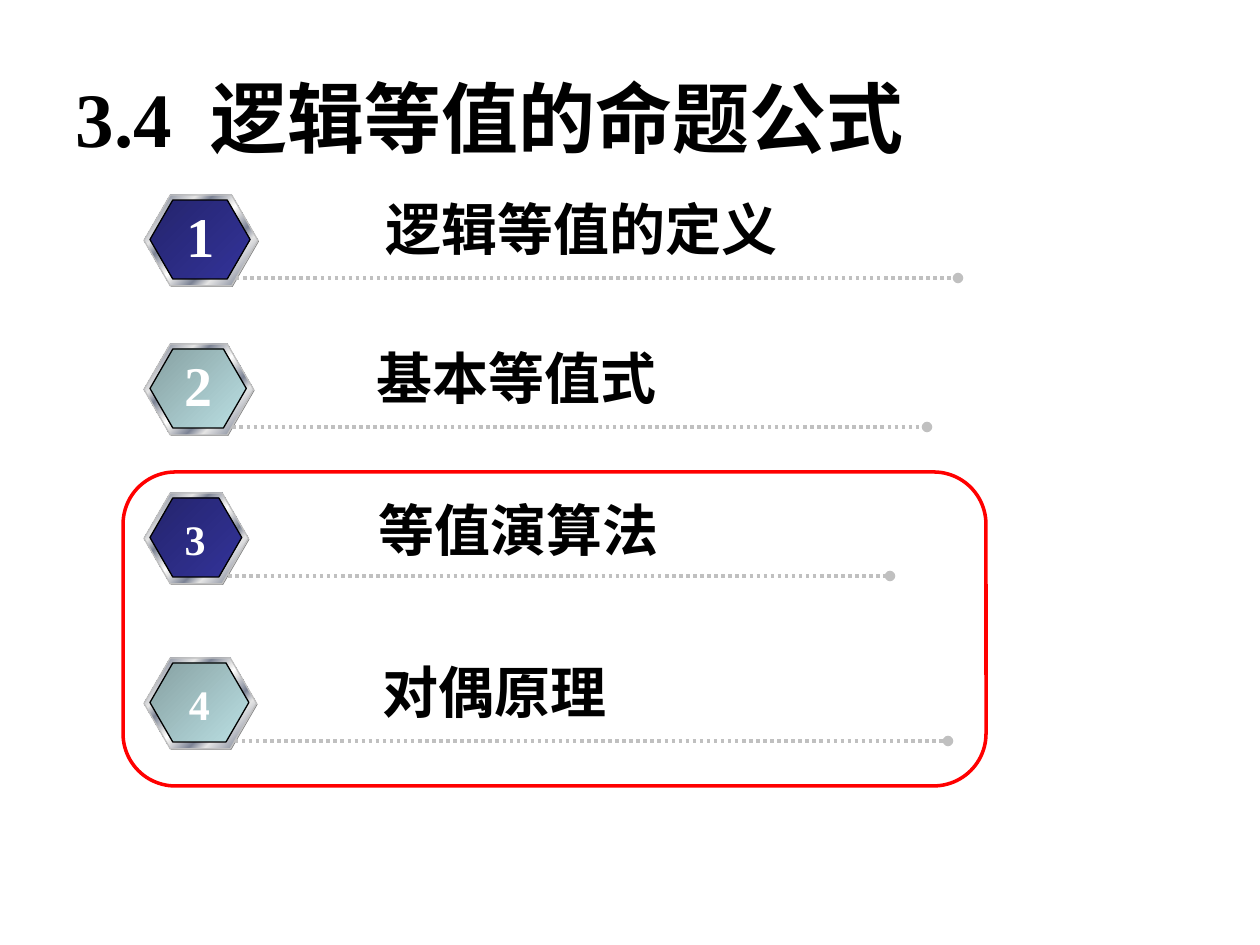
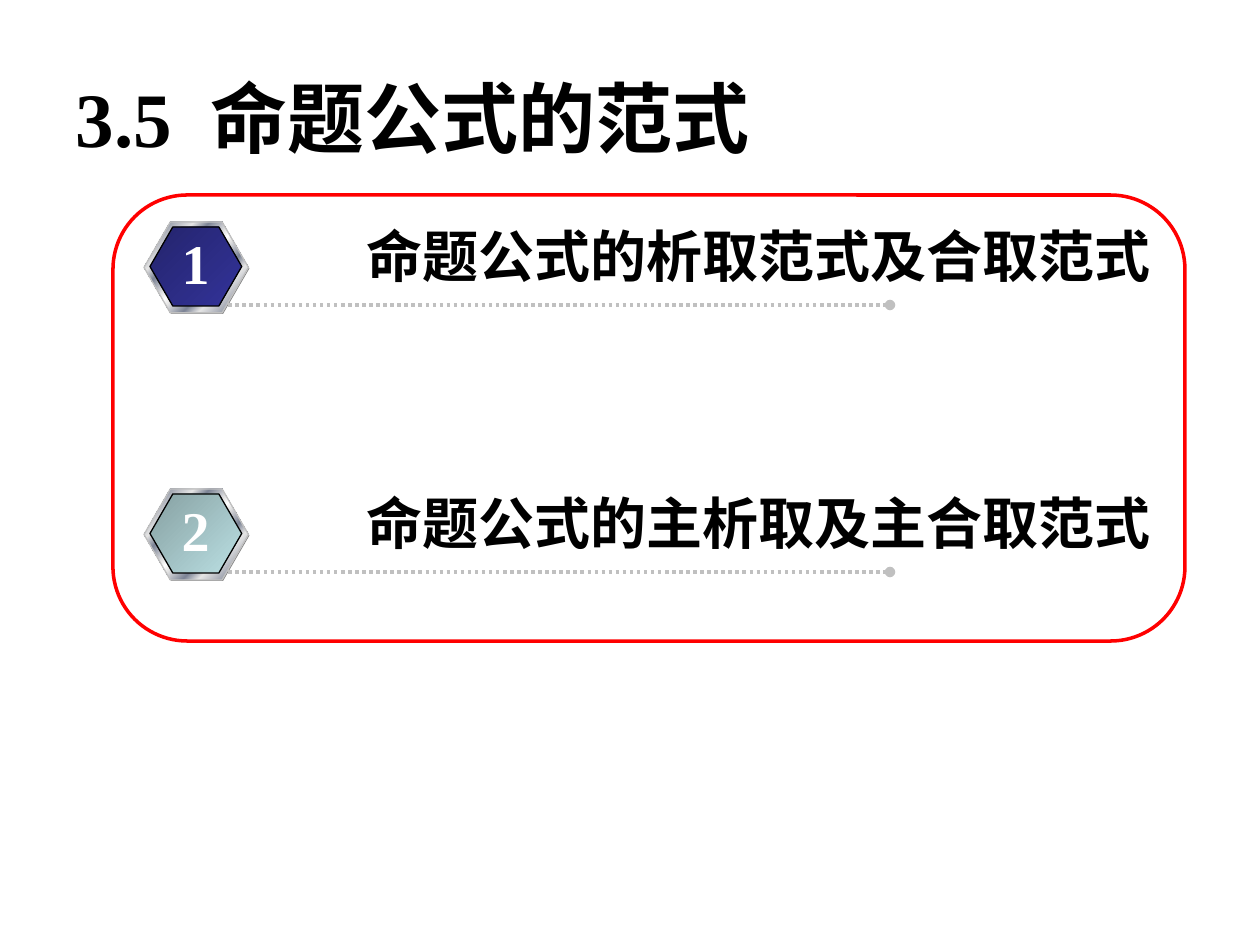
from lxml import etree
from pptx import Presentation
from pptx.dml.color import RGBColor
from pptx.enum.dml import MSO_LINE
from pptx.enum.shapes import MSO_CONNECTOR, MSO_SHAPE
from pptx.enum.text import MSO_ANCHOR, PP_ALIGN
from pptx.oxml.ns import qn
from pptx.util import Emu, Pt

HEXAGON, ROUND_RECT = MSO_SHAPE.HEXAGON, MSO_SHAPE.ROUNDED_RECTANGLE
STRAIGHT, DOTTED = MSO_CONNECTOR.STRAIGHT, MSO_LINE.ROUND_DOT
LEFT, CENTER = PP_ALIGN.LEFT, PP_ALIGN.CENTER
MIDDLE = MSO_ANCHOR.MIDDLE
TITLE_ONLY = 5
PX_PER_INCH = 126

COLORS = {
    "text": "000000", "number": "FFFFFF", "outline": "000000",
    "silver": "C0C0C0", "shadow": "808080", "highlight": "FF0000",
    "steel_light": "E6E6E6", "steel_dark": "7D8496", "steel_shine": "FFFFFF",
    "navy_dark": "24246D", "navy": "333399",
    "teal_dark": "86A0A2", "teal": "BBE0E3",
}
STEEL = [(0, "steel_light"), (8, "steel_dark"), (26, "steel_light"),
         (34, "steel_dark"), (46, "steel_light"), (50, "steel_shine"),
         (54, "steel_light"), (66, "steel_dark"), (74, "steel_light"),
         (92, "steel_dark"), (100, "steel_light")]
FACES = [[(0, "navy_dark"), (100, "navy")], [(0, "teal_dark"), (100, "teal")]]

TITLE_FORMAT = {"name": "Times New Roman", "size": Pt(44), "bold": True}
LABEL_FORMAT = {"name": "Arial", "size": Pt(32), "bold": True}
NUMBER_FORMAT = {"name": "Times New Roman", "bold": True}

# Each row is as wide as its dotted rule; its parts are shares of that width
ROW_LEFT = 144
BADGE_HEIGHT = 91
BADGE_SHARE, FACE_SHARE, RULE_SHARE, LABEL_SHARE = 0.14, 0.123, 0.113, 0.281


def px(length):
    return Emu(round(length * 914400 / PX_PER_INCH))


def color(name):
    return RGBColor.from_string(COLORS[name])


def add_run(paragraph, text, font_format, color_name):
    run = paragraph.add_run()
    run.text = text
    for name, value in font_format.items():
        setattr(run.font, name, value)
    run.font.color.rgb = color(color_name)
    return run


def fill_gradient(shape, stops):
    shape.fill.gradient()
    shape.fill.gradient_angle = 315
    stop_list = shape._element.spPr.find(".//" + qn("a:gsLst"))
    for stop in list(stop_list):
        stop_list.remove(stop)
    for percent, name in stops:
        stop = etree.SubElement(stop_list, qn("a:gs"), pos=str(percent * 1000))
        etree.SubElement(stop, qn("a:srgbClr"), val=COLORS[name])


def set_line(line, color_name, width):
    line.color.rgb = color(color_name)
    line.width = Pt(width)


def add_title(slide, number, text):
    title = slide.shapes.title
    title.left, title.top, title.width, title.height = map(px, (63, 38, 1134, 158))
    title.text_frame.vertical_anchor = MIDDLE
    paragraph = title.text_frame.paragraphs[0]
    paragraph.alignment = LEFT
    add_run(paragraph, number, TITLE_FORMAT, "text")
    gap = add_run(paragraph, " ", TITLE_FORMAT, "text")
    gap.font._element.set("spc", "1100")
    add_run(paragraph, text, TITLE_FORMAT, "text")


def add_hexagon(shapes, left, top, width, height):
    hexagon = shapes.add_shape(HEXAGON, *map(px, (left, top, width, height)))
    hexagon.shadow.inherit = False
    hexagon.adjustments[0] = 0.289
    return hexagon


def add_badge(shapes, top, row_width, face):
    badge_width = row_width * BADGE_SHARE
    shadow = add_hexagon(shapes, ROW_LEFT + 1, top + 1, badge_width, BADGE_HEIGHT)
    shadow.fill.solid()
    shadow.fill.fore_color.rgb = color("shadow")
    shadow.line.fill.background()
    rim = add_hexagon(shapes, ROW_LEFT, top, badge_width, BADGE_HEIGHT)
    fill_gradient(rim, STEEL)
    set_line(rim.line, "silver", 0.75)
    center = add_hexagon(shapes, ROW_LEFT + 6, top + 5, row_width * FACE_SHARE, 79)
    fill_gradient(center, face)
    set_line(center.line, "outline", 0.75)


def add_rule(shapes, start, end, y):
    rule = shapes.add_connector(STRAIGHT, px(start), px(y), px(end), px(y))
    set_line(rule.line, "silver", 2)
    rule.line.dash_style = DOTTED
    etree.SubElement(rule.line._get_or_add_ln(), qn("a:tailEnd"), type="oval")
    etree.SubElement(rule._element.spPr, qn("a:effectLst"))


def add_text(shapes, box, text, font_format, color_name, alignment=LEFT):
    text_box = shapes.add_textbox(*map(px, box))
    text_box.text_frame.word_wrap = False
    paragraph = text_box.text_frame.paragraphs[0]
    paragraph.alignment = alignment
    add_run(paragraph, text, font_format, color_name)


def add_row(slide, number, text, top, rule_end, label_width,
            number_size=32, label_shift=(0, 0)):
    shapes = slide.shapes.add_group_shape().shapes
    row_width = rule_end - ROW_LEFT
    add_badge(shapes, top, row_width, FACES[(number - 1) % 2])
    add_rule(shapes, ROW_LEFT + row_width * RULE_SHARE, rule_end, top + 83)
    # Label above the rule
    label_left = ROW_LEFT + row_width * LABEL_SHARE + label_shift[0]
    add_text(shapes, (label_left, top - 7 + label_shift[1], label_width, 79),
             text, LABEL_FORMAT, "text")
    # Number on the badge
    number_center = ROW_LEFT - 1 + row_width * BADGE_SHARE / 2
    number_top, number_height = (top, 79) if number_size == 32 else (top + 14, 63)
    add_text(shapes, (number_center - 26, number_top, 52, number_height),
             str(number), {**NUMBER_FORMAT, "size": Pt(number_size)},
             "number", CENTER)


def add_highlight(slide, left, top, width, height):
    frame = slide.shapes.add_shape(ROUND_RECT, *map(px, (left, top, width, height)))
    frame.shadow.inherit = False
    frame.fill.background()
    set_line(frame.line, "highlight", 2)


def main():
    presentation = Presentation()
    presentation.slide_width, presentation.slide_height = px(1260), px(945)
    layout = presentation.slide_layouts[TITLE_ONLY]

    # Section 3.4
    slide = presentation.slides.add_slide(layout)
    add_title(slide, "3.4", "逻辑等值的命题公式")
    add_row(slide, 1, "逻辑等值的定义", 195, 958, 457)
    add_row(slide, 2, "基本等值式", 344, 927, 323)
    add_row(slide, 3, "等值演算法", 493, 890, 323, 24, (12, 3))
    add_row(slide, 4, "对偶原理", 658, 948, 270, 24)
    add_highlight(slide, 123, 472, 863, 314)

    # Section 3.5
    slide = presentation.slides.add_slide(layout)
    add_title(slide, "3.5", "命题公式的范式")
    add_row(slide, 1, "命题公式的析取范式及合取范式", 222, 890, 813)
    add_row(slide, 2, "命题公式的主析取及主合取范式", 489, 890, 813)
    add_highlight(slide, 113, 195, 1072, 446)

    presentation.save("out.pptx")


if __name__ == "__main__":
    main()
